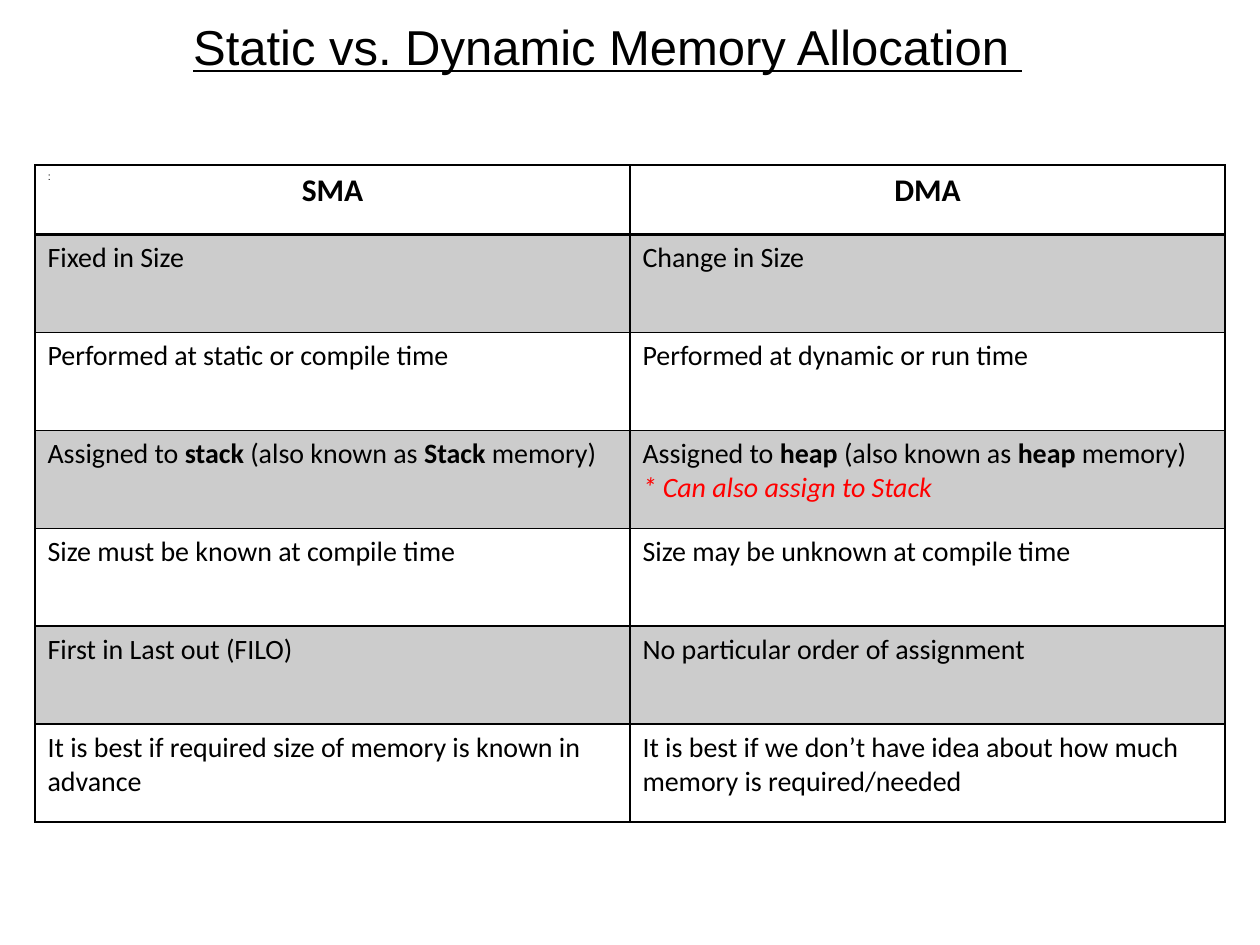
from dataclasses import dataclass

from lxml.etree import SubElement
from pptx import Presentation
from pptx.dml.color import RGBColor
from pptx.enum.text import MSO_ANCHOR, MSO_AUTO_SIZE, PP_ALIGN
from pptx.oxml.ns import qn
from pptx.util import Pt

BLACK = RGBColor(0, 0, 0)
RED = RGBColor(255, 0, 0)
BAND_ALPHA = 20
HEADER_HEIGHT, ROW_HEIGHT, COLUMN_WIDTH = 39.6, 56, 340


@dataclass(frozen=True)
class Run:
    text: str
    bold: bool = False
    italic: bool = False
    color: RGBColor = BLACK


@dataclass(frozen=True)
class Comparison:
    static: list
    dynamic: list


def assigned_to(region: str, alias: str) -> list:
    return [
        Run("Assigned to "),
        Run(f"{region} ", bold=True),
        Run("(also known as "),
        Run(alias, bold=True),
        Run(" memory)"),
    ]


def plain(static: str, dynamic: str) -> Comparison:
    return Comparison([[Run(static)]], [[Run(dynamic)]])


HEADER = Comparison([[Run("SMA", bold=True)]], [[Run("DMA", bold=True)]])
COMPARISONS = [
    plain("Fixed in Size", "Change in Size"),
    plain("Performed at static or compile time", "Performed at dynamic or run time"),
    Comparison(
        [assigned_to("stack", "Stack")],
        [
            assigned_to("heap", "heap"),
            [Run("* Can also assign to Stack", italic=True, color=RED)],
        ],
    ),
    plain("Size must be known at compile time", "Size may be unknown at compile time"),
    plain("First in Last out (FILO)", "No particular order of assignment"),
    plain(
        "It is best if required size of memory is known in advance",
        "It is best if we don’t have idea about how much memory is required/needed",
    ),
]


def write(frame, paragraphs: list, *, size: float, font: str = "Calibri",
          align=PP_ALIGN.LEFT, underline: bool = False) -> None:
    frame.word_wrap = True
    for index, runs in enumerate(paragraphs):
        paragraph = frame.add_paragraph() if index else frame.paragraphs[0]
        paragraph.alignment = align
        paragraph.space_before = Pt(0)
        for item in runs:
            run = paragraph.add_run()
            run.text = item.text
            run.font.name = font
            run.font.size = Pt(size)
            run.font.bold = item.bold
            run.font.italic = item.italic
            run.font.underline = underline
            run.font.color.rgb = item.color


def place(shape, left: float, top: float, width: float, height: float) -> None:
    shape.left, shape.top = Pt(left), Pt(top)
    shape.width, shape.height = Pt(width), Pt(height)
    shape.text_frame.auto_size = MSO_AUTO_SIZE.NONE


def add_borders(cell, **widths: float) -> None:
    properties = cell._tc.get_or_add_tcPr()
    for side in "LRTB":
        border = SubElement(properties, qn(f"a:ln{side}"), w=str(Pt(widths.get(side, 1))))
        fill = SubElement(border, qn("a:solidFill"))
        SubElement(fill, qn("a:srgbClr"), val=str(BLACK))


def fill_cell(cell, banded: bool) -> None:
    if not banded:
        cell.fill.background()
        return
    cell.fill.solid()
    cell.fill.fore_color.rgb = BLACK
    color = cell._tc.tcPr.find(f"{qn('a:solidFill')}/{qn('a:srgbClr')}")
    SubElement(color, qn("a:alpha"), val=str(BAND_ALPHA * 1000))


def add_comparison_table(slide, left: float, top: float) -> None:
    rows = [HEADER, *COMPARISONS]
    height = HEADER_HEIGHT + ROW_HEIGHT * len(COMPARISONS)
    table = slide.shapes.add_table(
        len(rows), 2, Pt(left), Pt(top), Pt(2 * COLUMN_WIDTH), Pt(height)
    ).table
    table.first_row = table.horz_banding = False
    for row_index, row in enumerate(rows):
        is_header = row_index == 0
        table.rows[row_index].height = Pt(HEADER_HEIGHT if is_header else ROW_HEIGHT)
        for column, content in enumerate((row.static, row.dynamic)):
            cell = table.cell(row_index, column)
            add_borders(cell, B=2 if is_header else 1, T=2 if row_index == 1 else 1)
            fill_cell(cell, banded=row_index % 2 == 1)
            write(cell.text_frame, content, size=18 if is_header else 16,
                  align=PP_ALIGN.CENTER if is_header else PP_ALIGN.LEFT)


def main() -> None:
    deck = Presentation()
    deck.slide_width, deck.slide_height = Pt(720), Pt(540)
    slide = deck.slides.add_slide(deck.slide_layouts[1])

    title = slide.shapes.title
    place(title, 20.9, 3.6, 653, 45.4)
    title.text_frame.vertical_anchor = MSO_ANCHOR.MIDDLE
    write(title.text_frame, [[Run("Static vs. Dynamic Memory Allocation ")]],
          size=28, font="Arial", align=PP_ALIGN.CENTER, underline=True)

    body = slide.placeholders[1]
    place(body, 20.2, 71.3, 686, 448)
    body.text_frame.margin_top = Pt(26)
    write(body.text_frame, [[Run(":")]], size=6, font="Arial")
    bullet = body.text_frame.paragraphs[0]._p.get_or_add_pPr()
    bullet.set("marL", "0")
    bullet.set("indent", "0")
    SubElement(bullet, qn("a:buNone"))

    add_comparison_table(slide, 20, 94.3)
    deck.save("out.pptx")


if __name__ == "__main__":
    main()
